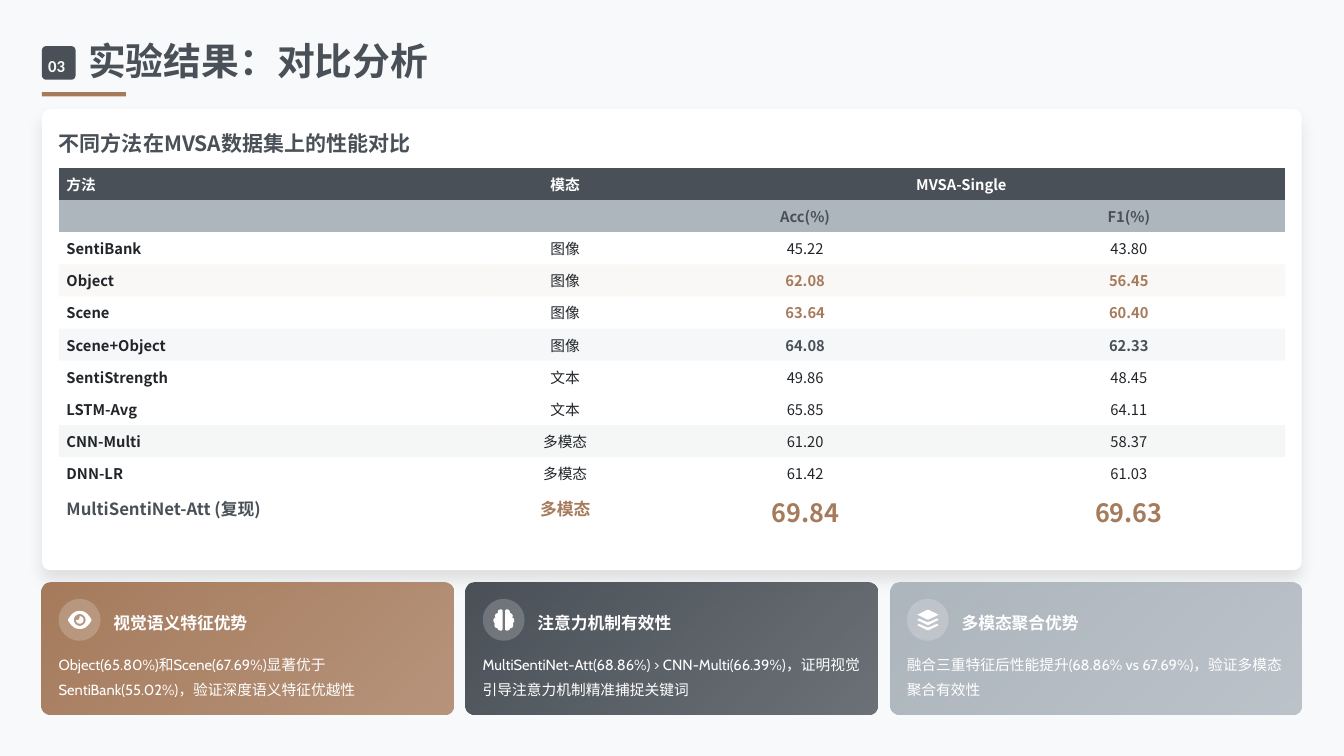
from dataclasses import dataclass
from math import cos, radians, sin

from lxml import etree
from pptx import Presentation
from pptx.dml.color import RGBColor
from pptx.enum.shapes import MSO_SHAPE
from pptx.enum.text import MSO_ANCHOR, PP_ALIGN
from pptx.oxml.ns import qn
from pptx.util import Cm, Pt

RECT = MSO_SHAPE.RECTANGLE
ROUND = MSO_SHAPE.ROUNDED_RECTANGLE
OVAL = MSO_SHAPE.OVAL
MIDDLE = MSO_ANCHOR.MIDDLE
LEFT = PP_ALIGN.LEFT
CENTER = PP_ALIGN.CENTER
PLAIN = "{2D5ABB26-0587-4C30-8999-92F81FD0307C}"


@dataclass(frozen=True)
class Theme:
    page: str = "F8F9FA"
    white: str = "FFFFFF"
    black: str = "000000"
    slate: str = "495057"
    mist: str = "ADB5BD"
    clay: str = "A67B5C"
    ink: str = "212529"
    han: str = "Noto Sans CJK SC"
    latin: str = "Cabin"
    digit: str = "Calibri"
    title: int = 36
    score: int = 24
    head: int = 20
    label: int = 16
    body: int = 14


T = Theme()


def fade(root, amount):
    color = list(root.iter(qn("a:srgbClr")))[-1]
    etree.SubElement(color, qn("a:alpha")).set("val", str(amount * 1000))


def write(frame, text, size=T.body, color=T.ink, bold=False, font=T.han,
          align=LEFT, space=None):
    para = frame.paragraphs[0]
    para.alignment = align
    if space:
        para.line_spacing = space
    run = para.add_run()
    run.text = text
    run.font.size = Pt(size)
    run.font.bold = bold
    run.font.name = font
    run.font.color.rgb = RGBColor.from_string(color)
    east = etree.SubElement(run.font._element, qn("a:ea"))
    east.set("typeface", T.han)


def flip(points):
    return [(-x, y) for x, y in reversed(points)]


def arc(radius, start, stop):
    return [(radius * cos(radians(a)), radius * sin(radians(a)))
            for a in range(start, stop, 15)]


def eye():
    top = [(0, -12), (4, -11.5), (7.5, -10), (10.5, -7.5), (13, -4.5), (15.3, -1)]
    low = [(x, -y) for x, y in reversed(top)]
    half = top + low
    pupil = arc(5, -90, 181) + [(-3.5, 0.4), (-1.2, -0.5), (0, -3)]
    return [half + flip(half), arc(7.8, 0, 360), pupil]


def brain():
    half = [(-8, -11), (-7, -13), (-5, -14), (-3, -14), (-1.7, -12.5),
            (-1.7, 12.5), (-3, 14), (-5, 14), (-7.5, 13), (-8.5, 11),
            (-11, 10.3), (-12.5, 7.5), (-12, 4.5), (-13.5, 2.5), (-13.8, 0),
            (-13, -2), (-11, -3.5), (-12, -5.5), (-10.5, -8.3), (-8, -9)]
    return [half, flip(half)]


def layers():
    top = [(-14, -7), (-1, -13.3), (1, -13.3), (14, -7), (1, -0.6), (-1, -0.6)]
    band = [(-12, -2), (-3, 2), (0, 2.8), (3, 2), (12, -2), (14, 0),
            (1, 6.5), (-1, 6.5), (-14, 0)]
    return [top, band, [(x, y + 7) for x, y in band]]


class Deck:
    def __init__(self):
        self.show = Presentation()
        self.show.slide_width, self.show.slide_height = Cm(45.16), Cm(25.4)
        self.page = self.show.slides.add_slide(self.show.slide_layouts[6])
        self.paint(self.page.background, T.page)

    def paint(self, item, color):
        item.fill.solid()
        item.fill.fore_color.rgb = RGBColor.from_string(color)

    def shape(self, kind, x, y, w, h, color, radius=0, alpha=None):
        item = self.page.shapes.add_shape(kind, Cm(x), Cm(y), Cm(w), Cm(h))
        item.shadow.inherit = False
        item.line.fill.background()
        self.paint(item, color)
        if radius:
            item.adjustments[0] = radius / min(w, h)
        if alpha:
            fade(item._element.spPr, alpha)
        return item

    def text(self, x, y, w, h, text, **style):
        frame = self.page.shapes.add_textbox(Cm(x), Cm(y), Cm(w), Cm(h)).text_frame
        frame.word_wrap = True
        frame.vertical_anchor = MIDDLE
        frame.margin_left = frame.margin_right = 0
        frame.margin_top = frame.margin_bottom = 0
        write(frame, text, **style)

    def panel(self, x, y, w, h):
        item = self.shape(ROUND, x, y, w, h, T.white, 0.28)
        glow = item._element.spPr.find(qn("a:effectLst"))
        cast = etree.SubElement(glow, qn("a:outerShdw"), blurRad=str(Pt(15)),
                                dist=str(Pt(10)), dir="5400000",
                                algn="ctr", rotWithShape="0")
        etree.SubElement(cast, qn("a:srgbClr"), val=T.black)
        fade(cast, 10)

    def icon(self, x, y, rings):
        grid = [[(px * 100, py * 100) for px, py in ring] for ring in rings]
        pen = self.page.shapes.build_freeform(*grid[0][0], scale=Cm(0.0254) / 100)
        for ring in grid:
            if ring is not grid[0]:
                pen.move_to(*ring[0])
            pen.add_line_segments(ring[1:], close=True)
        item = pen.convert_to_shape(Cm(x), Cm(y))
        item.shadow.inherit = False
        item.line.fill.background()
        self.paint(item, T.white)

    def card(self, x, color, rings, head, body):
        top = 19.56
        item = self.shape(ROUND, x, top, 13.83, 4.44, color, 0.28)
        item.fill.gradient()
        item.fill.gradient_angle = 315
        for stop in item.fill.gradient_stops:
            stop.color.rgb = RGBColor.from_string(color)
        fade(item._element.spPr, 80)
        self.shape(OVAL, x + 0.56, top + 0.56, 1.41, 1.41, T.white, alpha=20)
        self.icon(x + 1.27, top + 1.27, rings)
        self.text(x + 2.4, top + 0.84, 4.8, 0.84, head, size=T.label,
                  color=T.white, bold=True, font=T.latin, space=1.3)
        self.text(x + 0.56, top + 2.26, 12.95, 1.63, body,
                  color=T.white, font=T.latin, space=1.4)

    def table(self, x, y, widths, high, rows):
        frame = self.page.shapes.add_table(len(rows), len(widths), Cm(x), Cm(y),
                                           Cm(sum(widths)), Cm(high * len(rows)))
        grid = frame.table
        grid.first_row = grid.horz_banding = False
        grid._tbl.tblPr.find(qn("a:tableStyleId")).text = PLAIN
        for col, wide in zip(grid.columns, widths):
            col.width = Cm(wide)
        for r, (texts, fill, alpha, styles) in enumerate(rows):
            grid.rows[r].height = Cm(high)
            for c, (text, style) in enumerate(zip(texts, styles)):
                cell = grid.cell(r, c)
                cell.vertical_anchor = MIDDLE
                if fill:
                    self.paint(cell, fill)
                    if alpha:
                        fade(cell._tc.tcPr, alpha)
                else:
                    cell.fill.background()
                if text:
                    write(cell.text_frame, text, align=CENTER if c else LEFT, **style)
        grid.cell(0, 2).merge(grid.cell(0, 3))


def row(text, fill=None, alpha=None, score=None):
    value = dict(color=score, bold=True) if score else {}
    return text.split("|"), fill, alpha, [dict(bold=True), {}, value, value]


def main():
    deck = Deck()
    deck.shape(ROUND, 1.41, 1.55, 1.13, 1.13, T.slate, 0.14)
    deck.text(1.62, 1.7, 1, 0.84, "03", size=T.label, color=T.page,
              bold=True, font=T.digit, space=1.3)
    deck.text(2.96, 1.41, 12.06, 1.41, "实验结果：对比分析", size=T.title,
              color=T.slate, bold=True, space=0.9)
    deck.shape(RECT, 1.41, 3.1, 2.82, 0.14, T.clay)
    deck.panel(1.41, 3.67, 42.33, 15.49)
    deck.text(1.98, 4.23, 41.55, 1, "不同方法在MVSA数据集上的性能对比",
              size=T.head, color=T.slate, bold=True, space=1.2)

    light = dict(color=T.white, bold=True)
    dark = dict(color=T.slate, bold=True)
    name = dict(dark, size=T.label)
    mode = dict(name, color=T.clay)
    best = dict(mode, size=T.score)
    rows = [
        (["方法", "模态", "MVSA-Single", ""], T.slate, None, [light] * 4),
        (["", "", "Acc(%)", "F1(%)"], T.mist, None, [dark] * 4),
        row("SentiBank|图像|45.22|43.80"),
        row("Object|图像|62.08|56.45", T.clay, 5, T.clay),
        row("Scene|图像|63.64|60.40", score=T.clay),
        row("Scene+Object|图像|64.08|62.33", T.mist, 10, T.slate),
        row("SentiStrength|文本|49.86|48.45"),
        row("LSTM-Avg|文本|65.85|64.11"),
        row("CNN-Multi|多模态|61.20|58.37", T.slate, 5),
        row("DNN-LR|多模态|61.42|61.03"),
        (["MultiSentiNet-Att (复现)", "多模态", "69.84", "69.63"], None, None,
         [name, mode, best, best]),
    ]
    deck.table(1.98, 5.64, [14.57, 4.88, 11.25, 10.5], 1.08, rows)

    cards = [
        (T.clay, eye(), "视觉语义特征优势",
         "Object(65.80%)和Scene(67.69%)显著优于SentiBank(55.02%)，验证深度语义特征优越性"),
        (T.slate, brain(), "注意力机制有效性",
         "MultiSentiNet-Att(68.86%) > CNN-Multi(66.39%)，证明视觉引导注意力机制精准捕捉关键词"),
        (T.mist, layers(), "多模态聚合优势",
         "融合三重特征后性能提升(68.86% vs 67.69%)，验证多模态聚合有效性"),
    ]
    for i, card in enumerate(cards):
        deck.card(1.41 + 14.25 * i, *card)
    deck.show.save("out.pptx")


if __name__ == "__main__":
    main()
